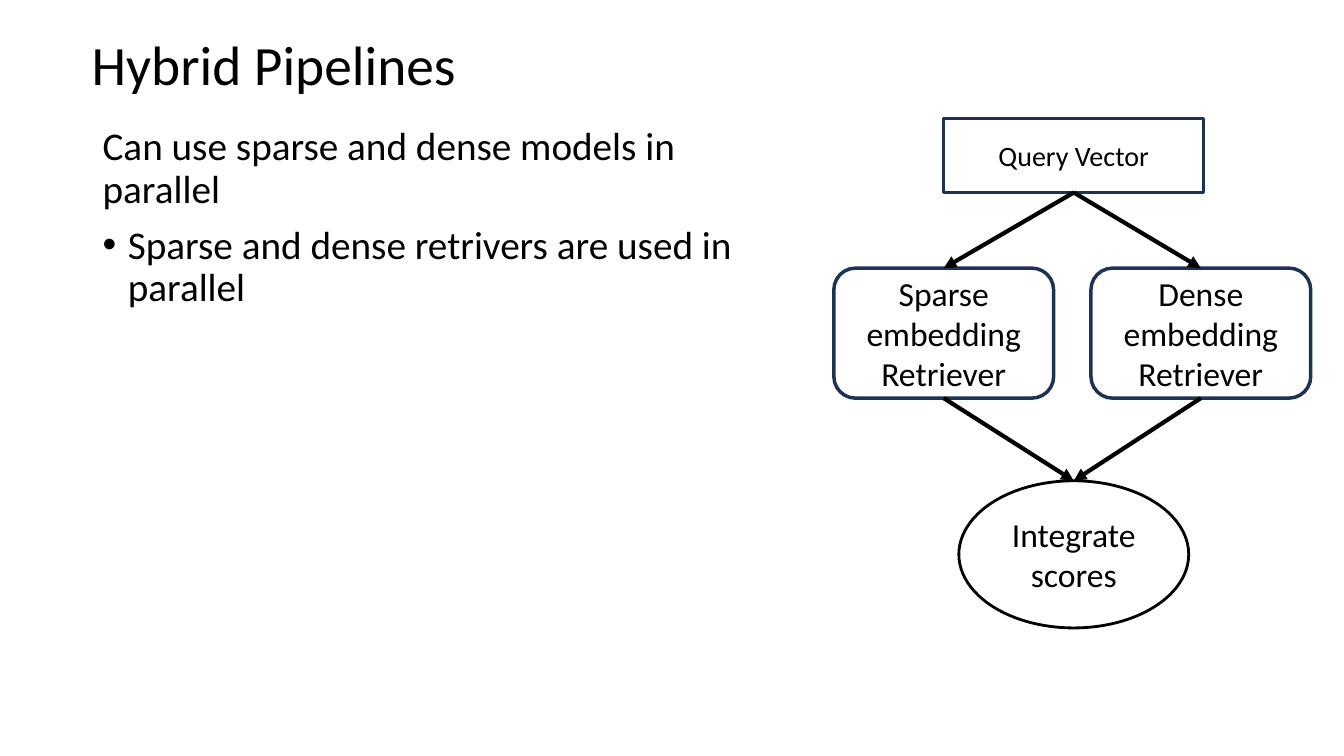
from lxml import etree
from pptx import Presentation
from pptx import util as u
from pptx.dml.color import RGBColor
from pptx.enum import shapes, text
from pptx.oxml.ns import qn

FONT = "Calibri"
BLACK = "000000"
NAVY = "1E3256"
TOP, BOTTOM = 0, 2  # connection sites


def colour(hex_string):
    return RGBColor.from_string(hex_string)


def write(paragraph, words, size, align=None, line_spacing=None, before=None, bullet=None):
    """Fill a paragraph with one formatted run."""
    run = paragraph.add_run()
    run.text = words
    run.font.name = FONT
    run.font.size = u.Pt(size)
    run.font.color.rgb = colour(BLACK)
    paragraph.alignment = align
    paragraph.line_spacing = line_spacing
    if before is not None:
        paragraph.space_before = u.Pt(before)
    if bullet:
        properties = paragraph._p.get_or_add_pPr()
        properties.set("marL", str(u.Inches(0.25)))
        properties.set("indent", str(u.Inches(-0.25)))
        etree.SubElement(properties, qn("a:buFont")).set("typeface", "Arial")
        etree.SubElement(properties, qn("a:buChar")).set("char", bullet)


def add_text_frame(slide, left, top, width, height, anchor=text.MSO_ANCHOR.TOP):
    box = slide.shapes.add_textbox(*map(u.Inches, (left, top, width, height)))
    frame = box.text_frame
    frame.word_wrap = True
    frame.vertical_anchor = anchor
    return frame


def add_node(slide, kind, words, centre, top, width, height, size=24, line=NAVY, weight=2):
    """Draw an outlined shape centred on a given x position."""
    node = slide.shapes.add_shape(
        kind, *map(u.Inches, (centre - width / 2, top, width, height)))
    node.shadow.inherit = False
    node.fill.background()
    node.line.color.rgb = colour(line)
    node.line.width = u.Pt(weight)
    frame = node.text_frame
    frame.word_wrap = True
    frame.vertical_anchor = text.MSO_ANCHOR.MIDDLE
    write(frame.paragraphs[0], words, size, align=text.PP_ALIGN.CENTER)
    return node


def add_arrow(slide, source, target):
    """Join the bottom of one node to the top of another."""
    arrow = slide.shapes.add_connector(shapes.MSO_CONNECTOR.STRAIGHT, 0, 0, 0, 0)
    arrow.begin_connect(source, BOTTOM)
    arrow.end_connect(target, TOP)
    arrow.line.color.rgb = colour(BLACK)
    arrow.line.width = u.Pt(3)
    etree.SubElement(arrow.line._get_or_add_ln(), qn("a:tailEnd")).set("type", "triangle")
    etree.SubElement(arrow._element.spPr, qn("a:effectLst"))


def main():
    presentation = Presentation()
    presentation.slide_width = u.Inches(13.33)
    presentation.slide_height = u.Inches(7.5)
    slide = presentation.slides.add_slide(presentation.slide_layouts[6])

    # Title and body text
    title = add_text_frame(slide, 0.81, 0.32, 11.5, 0.69, text.MSO_ANCHOR.MIDDLE)
    write(title.paragraphs[0], "Hybrid Pipelines", 39.6, line_spacing=0.9)
    body = add_text_frame(slide, 0.92, 1.21, 6.57, 5.91)
    write(body.paragraphs[0], "Can use sparse and dense models in parallel", 28,
          line_spacing=0.9, before=10)
    write(body.add_paragraph(), "Sparse and dense retrivers are used in parallel", 28,
          line_spacing=0.9, before=10, bullet="•")

    # Pipeline nodes
    kinds = shapes.MSO_SHAPE
    middle = 10.65
    query = add_node(slide, kinds.RECTANGLE, "Query Vector", middle, 1.18, 2.58, 0.73, size=20)
    retrievers = [
        add_node(slide, kinds.ROUNDED_RECTANGLE, f"{name} embedding Retriever",
                 centre, 2.66, 2.18, 1.29, weight=2.5)
        for name, centre in (("Sparse", 9.36), ("Dense", 11.91))
    ]
    scores = add_node(slide, kinds.OVAL, "Integrate scores", middle, 4.77, 2.28, 1.46, line=BLACK)

    # Arrows through both retrievers
    for retriever in retrievers:
        add_arrow(slide, query, retriever)
        add_arrow(slide, retriever, scores)

    presentation.save("out.pptx")


if __name__ == "__main__":
    main()
